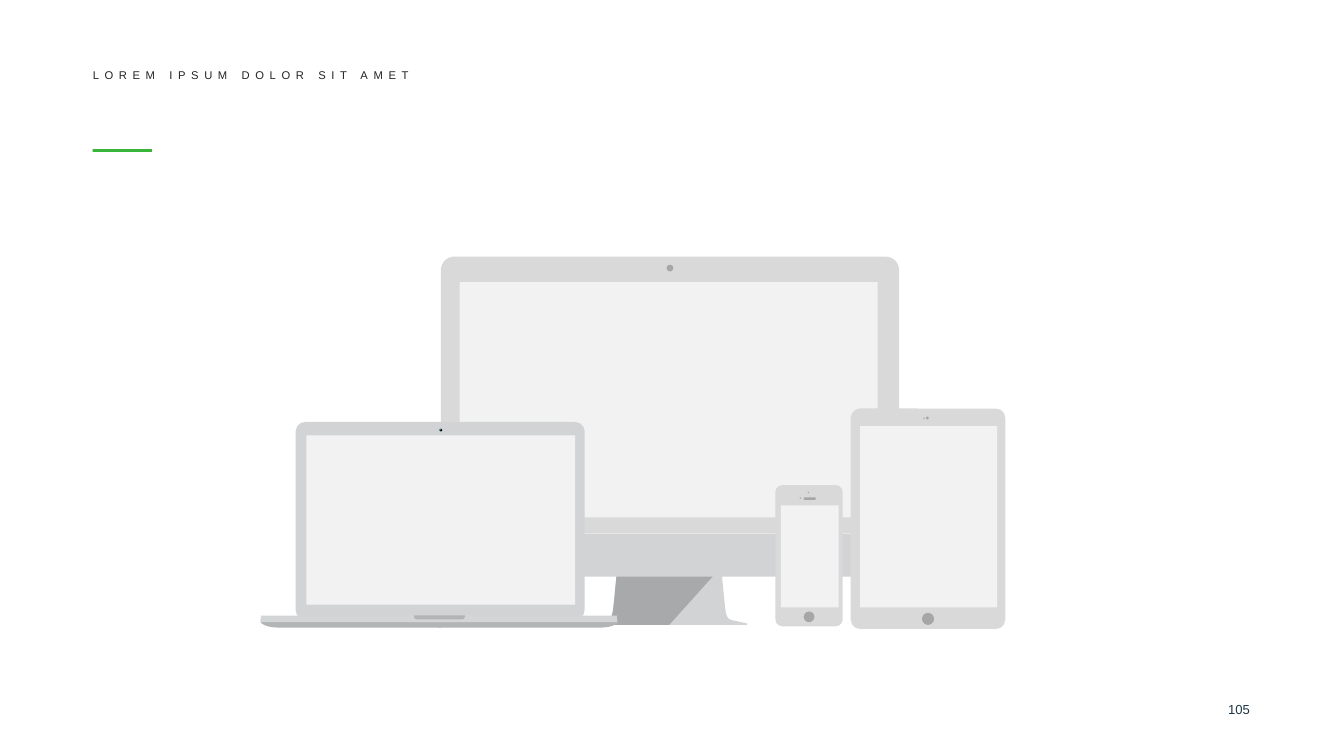
"""Build a slide with four grey device mockups under a spaced heading."""
from typing import NamedTuple

from pptx import Presentation
from pptx import util as u
from pptx.dml.color import RGBColor
from pptx.enum import shapes, text

INK = {
    "green": "39B53C", "navy": "1D3647", "text": "242424", "case": "D9D9D9",
    "glass": "F2F2F2", "dot": "A6A6A6", "metal": "D2D3D5", "deck": "D2D6D7",
    "shade": "A8A9AA", "base": "B3B4B5", "ring": "0A0A0A", "lens": "2C99B4",
}
KIND = shapes.MSO_SHAPE
RECT, OVAL = KIND.RECTANGLE, KIND.OVAL
ROUND, ENDS = KIND.ROUNDED_RECTANGLE, KIND.ROUND_2_SAME_RECTANGLE
Point = tuple[float, float]


class Part(NamedTuple):
    kind: int
    box: tuple[float, float, float, float]
    ink: str
    radii: tuple[float, ...] = ()


class Form(NamedTuple):
    points: list[Point]
    ink: str


class Label(NamedTuple):
    words: str
    box: tuple[float, float, float, float]
    size: float
    ink: str
    align: int
    anchor: int
    gap: int = 0


def bend(a: Point, b: Point, c: Point, d: Point, steps: int = 8) -> list[Point]:
    curve = []
    for i in range(steps + 1):
        t = i / steps
        s = 1 - t
        mix = (s ** 3, 3 * s * s * t, 3 * s * t * t, t ** 3)
        curve.append(tuple(sum(m * p[k] for m, p in zip(mix, (a, b, c, d)))
                           for k in (0, 1)))
    return curve


def flip(points: list[Point], axis: float) -> list[Point]:
    return [(2 * axis - x, y) for x, y in reversed(points)]


def paint(shape, ink: str) -> None:
    shape.shadow.inherit = False
    shape.fill.solid()
    shape.fill.fore_color.rgb = RGBColor.from_string(INK[ink])
    shape.line.fill.background()


def draw(slide, item: Part | Form) -> None:
    if isinstance(item, Form):
        dots = [(u.Inches(x), u.Inches(y)) for x, y in item.points]
        pen = slide.shapes.build_freeform(*dots[0])
        pen.add_line_segments(dots[1:], close=True)
        shape = pen.convert_to_shape()
    else:
        shape = slide.shapes.add_shape(item.kind, *map(u.Inches, item.box))
        for i, size in enumerate(item.radii):
            shape.adjustments[i] = size / min(item.box[2:])
    paint(shape, item.ink)


def write(shape, label: Label) -> None:
    sides = ("left", "top", "width", "height")
    for name, size in zip(sides, label.box):
        setattr(shape, name, u.Inches(size))
    frame = shape.text_frame
    look = {"margin_left": 0, "margin_top": 0, "margin_right": 0,
            "margin_bottom": 0, "word_wrap": True,
            "auto_size": text.MSO_AUTO_SIZE.NONE,
            "vertical_anchor": label.anchor}
    for name, value in look.items():
        setattr(frame, name, value)
    line = frame.paragraphs[0]
    line.alignment = label.align
    run = line.add_run()
    run.text = label.words
    for name, value in {"name": "Arial", "size": u.Pt(label.size)}.items():
        setattr(run.font, name, value)
    run.font.color.rgb = RGBColor.from_string(INK[label.ink])
    if label.gap:
        run._r.get_or_add_rPr().set("spc", str(label.gap * 100))


LEG = (bend((4.59, 4.25), (4.59, 4.25), (4.57, 4.49), (4.56, 4.55))
       + bend((4.56, 4.55), (4.55, 4.61), (4.53, 4.61), (4.49, 4.62))
       + [(4.4, 4.64), (4.4, 4.65)])
FOOT = ([(3.28, 4.61), (1.94, 4.61)]
        + bend((1.94, 4.63), (1.94, 4.64), (1.99, 4.67), (2.06, 4.67))
        + [(3.28, 4.67)])
LIP = bend((3.08, 4.58), (3.08, 4.6), (3.09, 4.61), (3.11, 4.61))

DESKTOP = [
    Part(ENDS, (3.28, 1.91, 3.41, 2.06), "case", (0.1, 0)),
    Part(RECT, (3.42, 2.1, 3.11, 1.75), "glass"),
    Part(OVAL, (4.96, 1.97, 0.05, 0.05), "dot"),
    Form(LEG + flip(LEG, 4.98), "metal"),
    Form(LEG + [(4.98, 4.65), (5.33, 4.26)], "shade"),
    Part(ENDS, (3.28, 3.97, 3.41, 0.32), "metal", (0, 0.1)),
]
PHONE = [
    Part(ROUND, (5.77, 3.61, 0.5, 1.05), "case", (0.05,)),
    Part(OVAL, (5.98, 4.55, 0.08, 0.08), "dot"),
    Part(RECT, (5.81, 3.76, 0.43, 0.76), "glass"),
    Part(OVAL, (6.01, 3.66, 0.01, 0.01), "dot"),
    Part(ROUND, (5.98, 3.7, 0.09, 0.02), "dot", (0.01,)),
    Part(OVAL, (5.95, 3.7, 0.01, 0.01), "dot"),
]
TABLET = [
    Part(ROUND, (6.33, 3.04, 1.15, 1.64), "case", (0.07,)),
    Part(OVAL, (6.89, 3.1, 0.02, 0.02), "dot"),
    Part(RECT, (6.87, 3.11, 0.01, 0.01), "dot"),
    Part(RECT, (6.4, 3.17, 1.02, 1.35), "glass"),
    Part(OVAL, (6.86, 4.56, 0.09, 0.09), "dot"),
]
LAPTOP = [
    Form(FOOT, "base"),
    Form(flip(FOOT, 3.27), "base"),
    Part(ROUND, (2.2, 3.14, 2.15, 1.47), "metal", (0.07,)),
    Part(RECT, (1.94, 4.58, 2.65, 0.05), "deck"),
    Form(LIP + flip(LIP, 3.27), "base"),
    Part(RECT, (2.28, 3.24, 2, 1.26), "glass"),
    Part(OVAL, (3.27, 3.19, 0.02, 0.02), "ring"),
    Part(OVAL, (3.27, 3.19, 0.01, 0.01), "lens"),
]
RULE = Part(RECT, (0.69, 1.11, 0.44, 0.02), "green")
HEAD = Label("LOREM IPSUM DOLOR SIT AMET", (0.69, 0.51, 7.17, 0.1), 6, "text",
             text.PP_ALIGN.LEFT, text.MSO_ANCHOR.MIDDLE, 3)
PAGE = Label("105", (8.87, 5.22, 0.43, 0.16), 7, "navy",
             text.PP_ALIGN.RIGHT, text.MSO_ANCHOR.TOP)


def main() -> None:
    deck = Presentation()
    deck.slide_width = u.Inches(10)
    deck.slide_height = deck.slide_width * 9 // 16
    slide = deck.slides.add_slide(deck.slide_layouts[5])
    for item in [RULE, *DESKTOP, *PHONE, *TABLET, *LAPTOP]:
        draw(slide, item)
    write(slide.shapes.title, HEAD)
    write(slide.shapes.add_textbox(*map(u.Inches, PAGE.box)), PAGE)
    deck.save("out.pptx")


if __name__ == "__main__":
    main()
